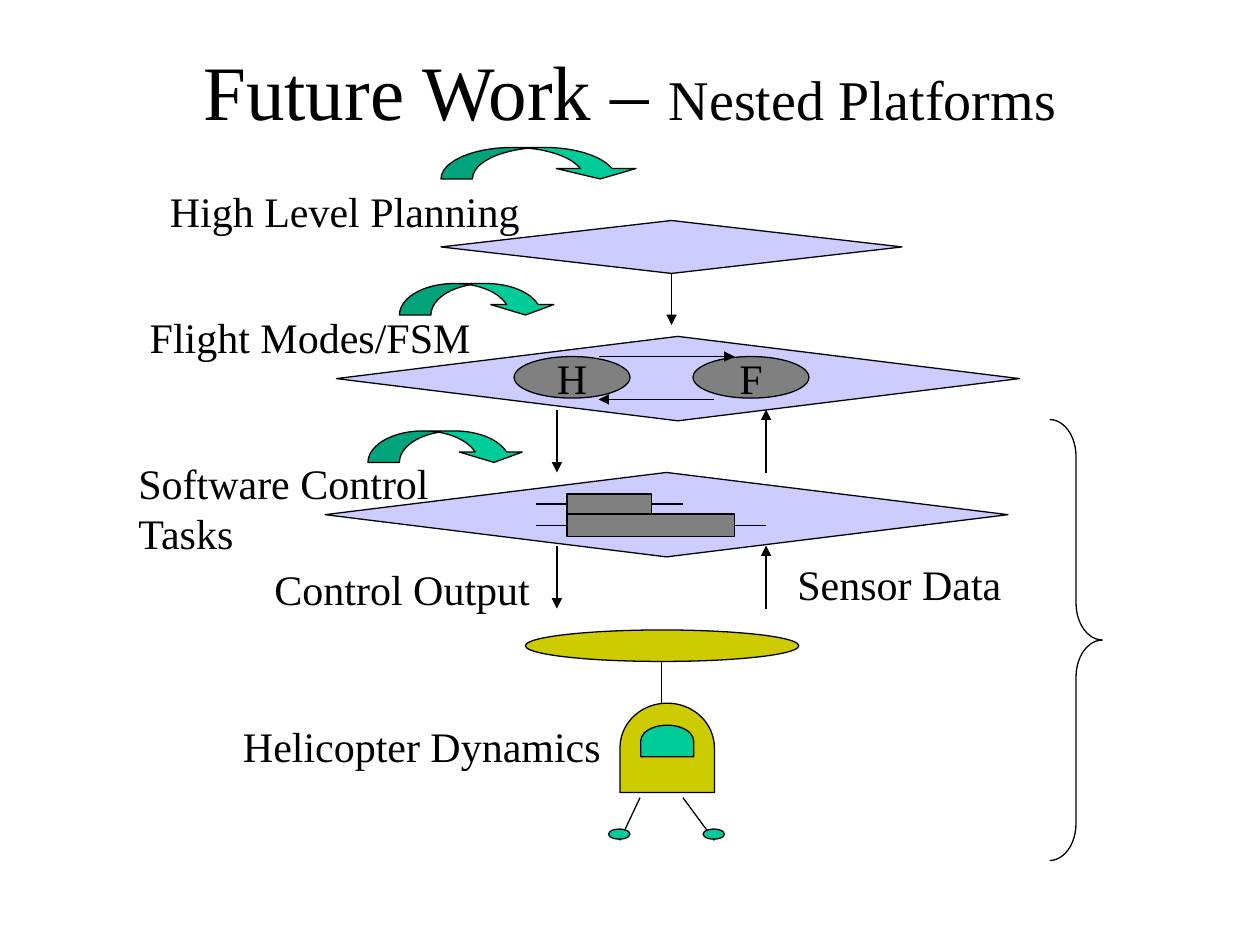
from lxml import etree
from pptx import Presentation
from pptx.dml.color import RGBColor
from pptx.enum.shapes import MSO_CONNECTOR, MSO_SHAPE
from pptx.enum.text import MSO_ANCHOR, MSO_AUTO_SIZE, PP_ALIGN
from pptx.oxml.ns import qn
from pptx.util import Inches, Pt

FONT = "Times New Roman"
BLACK, LAVENDER, GREY = "000000", "CCCCFF", "808080"
OLIVE, GREEN = "CCCC00", "00CC99"

deck = Presentation()
deck.slide_width, deck.slide_height = Inches(10), Inches(7.5)
page = deck.slides.add_slide(deck.slide_layouts[6])


def color(value):
    return RGBColor.from_string(value)


def add_line(x1, y1, x2, y2, arrow=False):
    line = page.shapes.add_connector(
        MSO_CONNECTOR.STRAIGHT, Inches(x1), Inches(y1), Inches(x2), Inches(y2))
    line.line.color.rgb = color(BLACK)
    line.line.width = Pt(0.75)
    if arrow:
        stroke = line.line._get_or_add_ln()
        etree.SubElement(stroke, qn("a:tailEnd"), type="triangle")
    etree.SubElement(line._element.spPr, qn("a:effectLst"))
    return line


# Mast and legs, behind the rotor, cabin and feet
for ends in [(5.25, 5.25, 5.25, 5.58), (5.42, 6.33, 5.67, 6.67), (5.08, 6.33, 4.92, 6.67)]:
    add_line(*ends)

# Every filled or outlined figure: kind, frame, fill, rotation, adjustments, label
DIAMOND, OVAL = MSO_SHAPE.FLOWCHART_DECISION, MSO_SHAPE.OVAL
DOME, SWOOP = MSO_SHAPE.FLOWCHART_DELAY, MSO_SHAPE.CURVED_DOWN_ARROW
figures = {
    "planning layer": (DIAMOND, 3.5, 1.75, 3.66, 0.42, LAVENDER, 0, (), ""),
    "flight mode layer": (DIAMOND, 2.67, 2.67, 5.42, 0.67, LAVENDER, 0, (), ""),
    "control task layer": (DIAMOND, 2.58, 3.75, 5.42, 0.67, LAVENDER, 0, (), ""),
    "rotor": (OVAL, 4.17, 5, 2.17, 0.25, OLIVE, 0, (), ""),
    "cabin": (DOME, 4.94, 5.56, 0.71, 0.75, OLIVE, 270, (), ""),
    "window": (DOME, 5.17, 5.67, 0.25, 0.42, GREEN, 270, (), ""),
    "left foot": (OVAL, 4.83, 6.58, 0.17, 0.08, GREEN, 0, (), ""),
    "right foot": (OVAL, 5.58, 6.58, 0.17, 0.08, GREEN, 0, (), ""),
    "planning swoop": (SWOOP, 3.5, 1.17, 1.58, 0.25, GREEN, 0, (1, 2.53, 0.33), ""),
    "flight mode swoop": (SWOOP, 3.17, 2.25, 1.25, 0.25, GREEN, 0, (1, 2, 0.33), ""),
    "control task swoop": (SWOOP, 2.92, 3.42, 1.25, 0.25, GREEN, 0, (1, 2, 0.33), ""),
    "mode H": (OVAL, 4.08, 2.83, 0.92, 0.33, GREY, 0, (), "H"),
    "mode F": (OVAL, 5.5, 2.83, 0.92, 0.33, GREY, 0, (), "F"),
    "short task": (MSO_SHAPE.RECTANGLE, 4.5, 3.92, 0.67, 0.16, GREY, 0, (), ""),
    "long task": (MSO_SHAPE.RECTANGLE, 4.5, 4.08, 1.33, 0.18, GREY, 0, (), ""),
    "brace": (MSO_SHAPE.RIGHT_BRACE, 8.33, 3.33, 0.42, 3.5, None, 0, (0.7, 0.5), ""),
}
shapes = {}
for name, (kind, x, y, width, height, fill, turn, adjustments, label) in figures.items():
    shape = page.shapes.add_shape(
        kind, Inches(x), Inches(y), Inches(width), Inches(height))
    shape.rotation = turn
    shape.shadow.inherit = False
    if fill:
        shape.fill.solid()
        shape.fill.fore_color.rgb = color(fill)
    else:
        shape.fill.background()
    shape.line.color.rgb = color(BLACK)
    shape.line.width = Pt(0.75)
    for index, value in enumerate(adjustments):
        shape.adjustments[index] = value
    if label:
        frame = shape.text_frame
        frame.text = label
        frame.word_wrap = False
        frame.vertical_anchor = MSO_ANCHOR.MIDDLE
        para = frame.paragraphs[0]
        para.alignment = PP_ALIGN.CENTER
        para.font.name, para.font.size = FONT, Pt(24)
        para.font.color.rgb = color(BLACK)
    shapes[name] = shape

# Transitions between the two modes
add_line(4.75, 2.83, 5.83, 2.83, arrow=True)
add_line(5.67, 3.17, 4.75, 3.17, arrow=True)

# Flow between the layers
planning_flow = add_line(5.33, 2.17, 5.33, 2.58, arrow=True)
planning_flow.begin_connect(shapes["planning layer"], 2)
for top in (3.25, 4.33):
    add_line(4.42, top, 4.42, top + 0.5, arrow=True)
    add_line(6.08, top + 0.5, 6.08, top, arrow=True)

# Leads on both sides of each task bar
for name, y, right in [("short task", 4, 5.17), ("long task", 4.17, 5.83)]:
    add_line(4.25, y, 4.5, y).end_connect(shapes[name], 1)
    add_line(right, y, right + 0.25, y).begin_connect(shapes[name], 3)

labels = [
    ("High Level Planning", 1.25, 1.42, 3.17, 0.5),
    ("Flight Modes/FSM", 1.09, 2.42, 2.8, 0.5),
    ("Software Control\nTasks", 1, 3.58, 2.6, 0.9),
    ("Control Output", 2.08, 4.42, 2.3, 0.5),
    ("Helicopter Dynamics", 1.83, 5.67, 3.1, 0.5),
    ("Sensor Data", 6.23, 4.38, 1.9, 0.5),
]
for text, *place in labels:
    box = page.shapes.add_textbox(*map(Inches, place))
    frame = box.text_frame
    frame.text = text
    frame.word_wrap = True
    frame.auto_size = MSO_AUTO_SIZE.SHAPE_TO_FIT_TEXT
    for para in frame.paragraphs:
        para.font.name, para.font.size = FONT, Pt(24)
        para.font.color.rgb = color(BLACK)

title = page.shapes.add_textbox(Inches(0.75), Inches(0.17), Inches(8.5), Inches(1.08))
title.text_frame.word_wrap = True
title.text_frame.vertical_anchor = MSO_ANCHOR.MIDDLE
para = title.text_frame.paragraphs[0]
para.alignment = PP_ALIGN.CENTER
para.font.name = FONT
para.font.color.rgb = color(BLACK)
for text, size in [("Future Work – ", 44), ("Nested Platforms", 32)]:
    span = para.add_run()
    span.text = text
    span.font.size = Pt(size)

deck.save("out.pptx")
